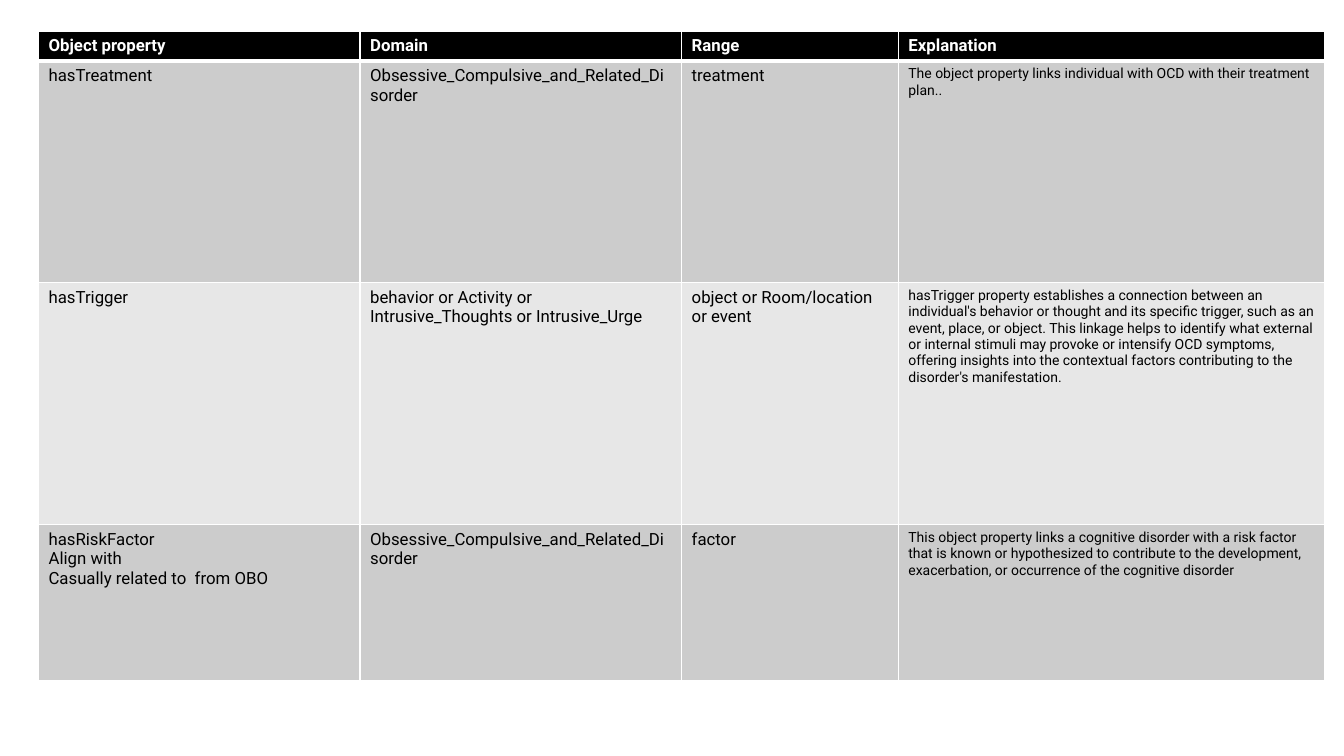
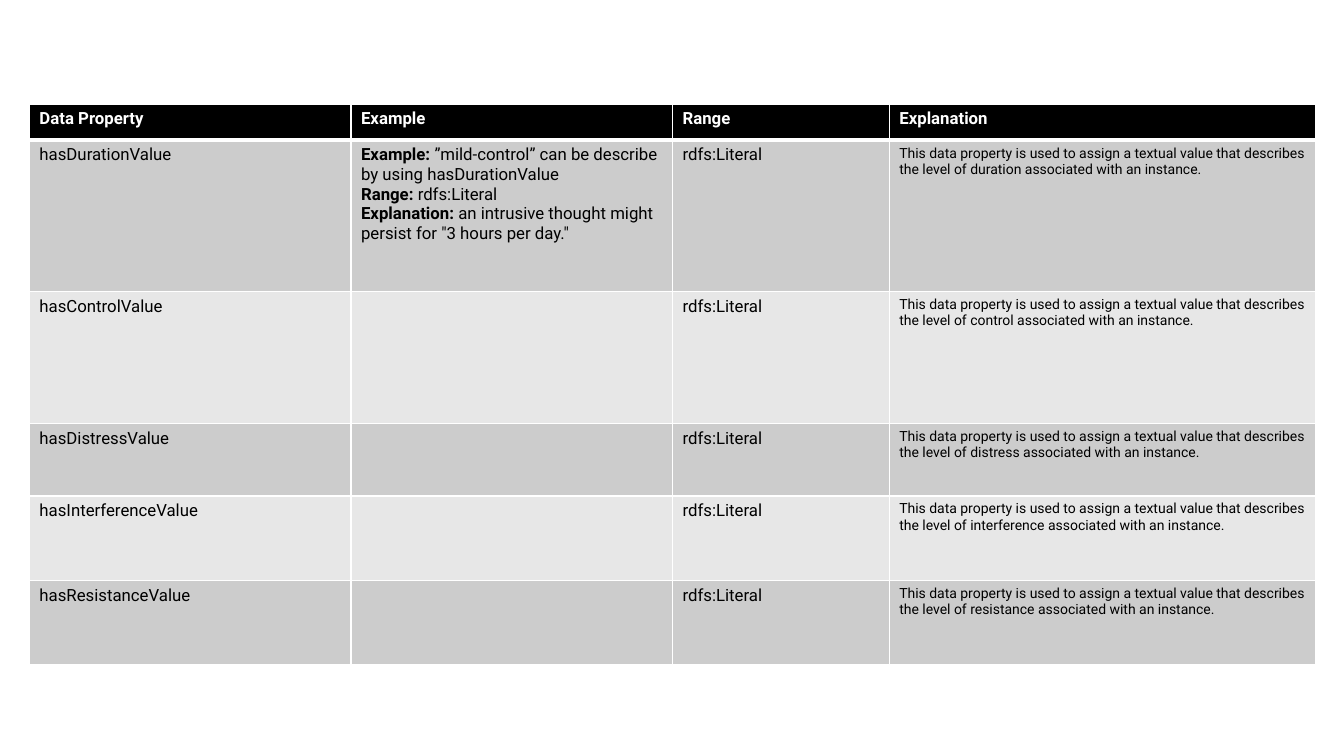
from lxml.etree import SubElement
from pptx import Presentation
from pptx.dml.color import RGBColor
from pptx.oxml.ns import qn
from pptx.util import Pt

BLACK = RGBColor(0x00, 0x00, 0x00)
WHITE = RGBColor(0xFF, 0xFF, 0xFF)
DARK = RGBColor(0xCC, 0xCC, 0xCC)
LIGHT = RGBColor(0xE7, 0xE7, 0xE7)
FONT = "Roboto"
WIDTHS = [229.7, 229.7, 154.8, 304.6]

# Content: a cell is a string, or a list of (bold lead, rest) paragraphs
DISORDER = "Obsessive_Compulsive_and_Related_Disorder"
OBJECTS = [
    ["Object property", "Domain", "Range", "Explanation"],
    ["hasTreatment", DISORDER, "treatment",
     "The object property links individual with OCD with their treatment plan.."],
    ["hasTrigger",
     "behavior or Activity or Intrusive_Thoughts or Intrusive_Urge",
     "object or Room/location or event",
     "hasTrigger property establishes a connection between an individual's "
     "behavior or thought and its specific trigger, such as an event, place, "
     "or object. This linkage helps to identify what external or internal "
     "stimuli may provoke or intensify OCD symptoms, offering insights into "
     "the contextual factors contributing to the disorder's manifestation."],
    ["hasRiskFactor\nAlign with\nCasually related to  from OBO",
     DISORDER, "factor",
     "This object property links a cognitive disorder with a risk factor that "
     "is known or hypothesized to contribute to the development, "
     "exacerbation, or occurrence of the cognitive disorder"],
]
SAMPLE = [
    ("Example:", " ”mild-control” can be describe by using hasDurationValue"),
    ("Range:", " rdfs:Literal"),
    ("Explanation:", " an intrusive thought might persist for \"3 hours per day.\""),
]
LEVELS = ["Duration", "Control", "Distress", "Interference", "Resistance"]


def data_rows():
    rows = [["Data Property", "Example", "Range", "Explanation"]]
    for level in LEVELS:
        rows.append([
            f"has{level}Value",
            SAMPLE if level == "Duration" else "",
            "rdfs:Literal",
            "This data property is used to assign a textual value that "
            f"describes the level of {level.lower()} associated with an instance.",
        ])
    return rows


def write(frame, text, size=12, color=BLACK, bold=False):
    """Fill a text frame, one paragraph for each line or (lead, rest) pair."""
    lines = [("", line) for line in text.split("\n")] if isinstance(text, str) else text
    for i, (lead, rest) in enumerate(lines):
        para = frame.paragraphs[0] if i == 0 else frame.add_paragraph()
        para.font.size = Pt(size)
        for part, heavy in ((lead, True), (rest, bold)):
            if part:
                run = para.add_run()
                run.text = part
                font = run.font
                font.name, font.size, font.bold = FONT, Pt(size), heavy
                font.color.rgb = color


def edge(cell, side, width):
    """Draw one white border of a cell."""
    line = SubElement(cell._tc.get_or_add_tcPr(), qn(f"a:ln{side}"), w=str(Pt(width)))
    fill = SubElement(line, qn("a:solidFill"))
    SubElement(fill, qn("a:srgbClr"), val=str(WHITE))


def add_grid(slide, left, top, heights, rows):
    """Add a table with a black header and grey bands."""
    table = slide.shapes.add_table(
        len(rows), len(WIDTHS), Pt(left), Pt(top),
        Pt(sum(WIDTHS)), Pt(sum(heights))).table
    table.horz_banding = False
    for column, width in zip(table.columns, WIDTHS):
        column.width = Pt(width)
    for r, (row, height) in enumerate(zip(rows, heights)):
        table.rows[r].height = Pt(height)
        head = r == 0
        band = BLACK if head else DARK if r % 2 else LIGHT
        for c, text in enumerate(row):
            cell = table.cell(r, c)
            # The rule under the header is thicker
            for side in "LRTB":
                thick = (head and side == "B") or (r == 1 and side == "T")
                edge(cell, side, 3 if thick else 1)
            cell.fill.solid()
            cell.fill.fore_color.rgb = band
            small = not head and c == len(WIDTHS) - 1
            write(cell.text_frame, text, size=10 if small else 12,
                  color=WHITE if head else BLACK, bold=head)


def main():
    deck = Presentation()
    deck.slide_width, deck.slide_height = Pt(960), Pt(540)
    blank = deck.slide_layouts[6]

    # Object properties
    add_grid(deck.slides.add_slide(blank), 27.5, 22.2,
             [21.3, 158.4, 172.8, 111.6], OBJECTS)

    # Data properties
    add_grid(deck.slides.add_slide(blank), 21, 74.5,
             [25.6, 108, 94.4, 51.8, 60.4, 60.4], data_rows())

    deck.save("out.pptx")


if __name__ == "__main__":
    main()
